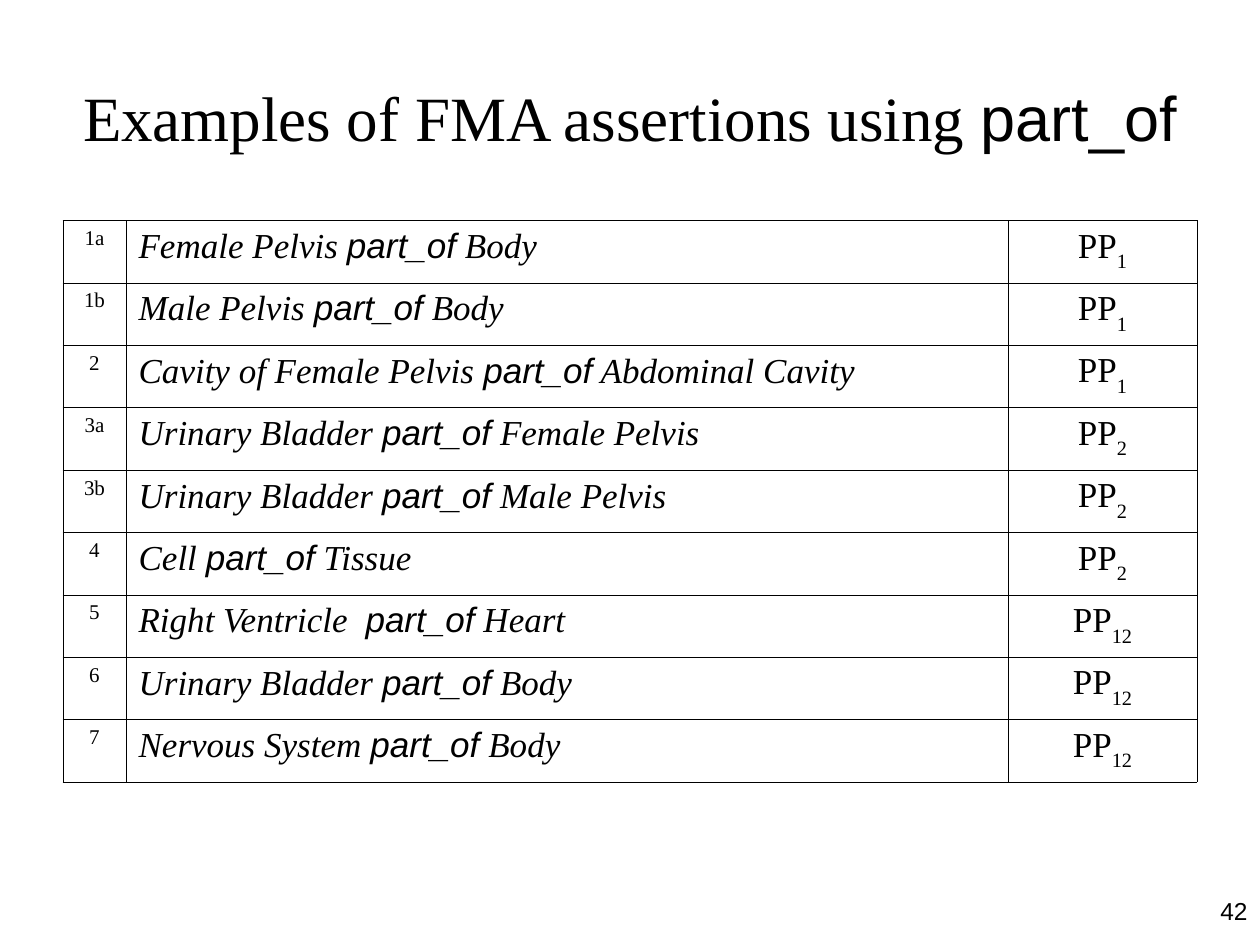
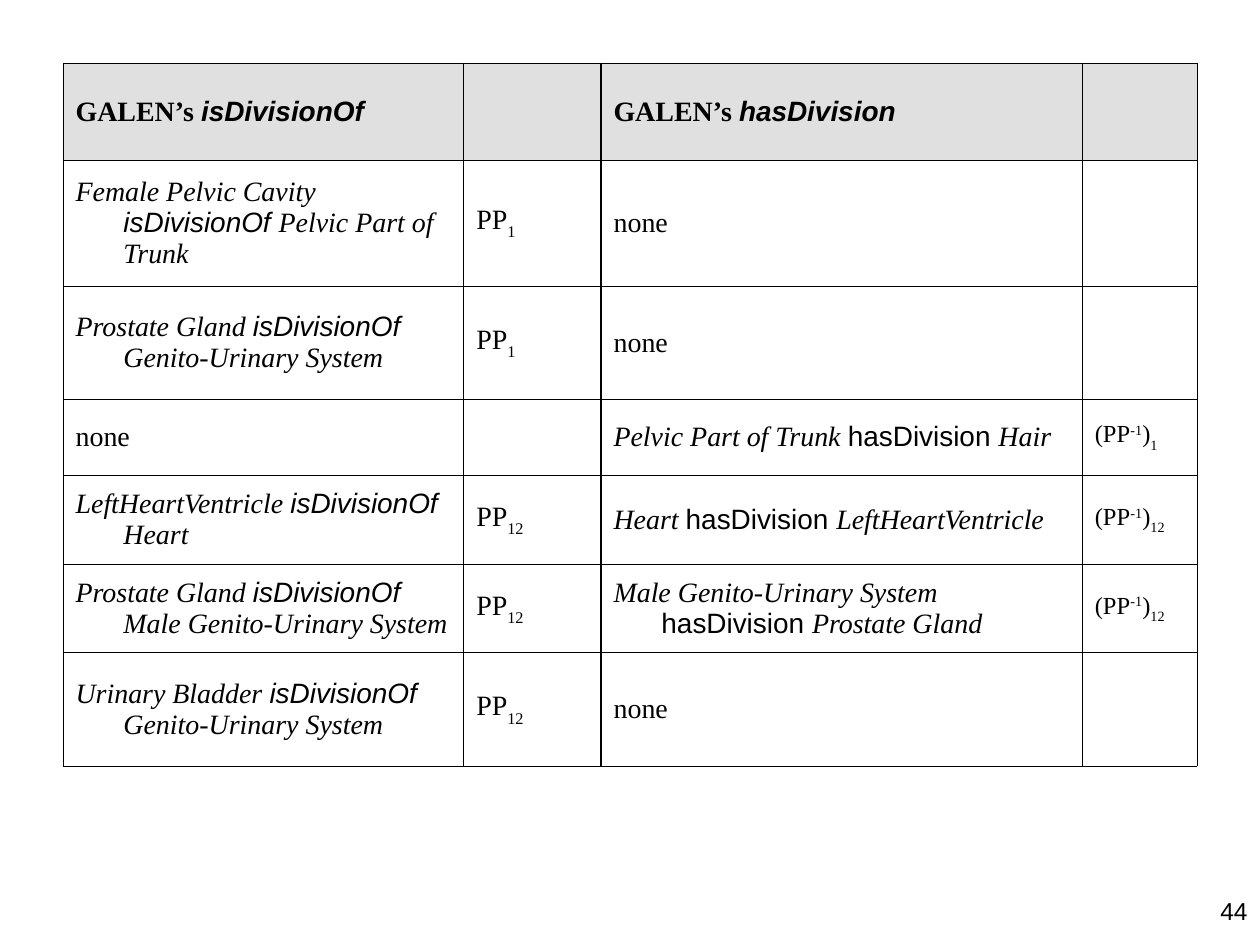
from pptx import Presentation
from pptx.dml.color import RGBColor
from pptx.enum.text import MSO_ANCHOR, PP_ALIGN
from pptx.oxml.ns import qn
from pptx.util import Inches, Pt
from lxml.etree import SubElement

# ---- Content: every text is a list of (words, style) runs ----
TITLE = [("Examples of FMA assertions using ", "roman"), ("part_of", "sans")]

# number, part, whole, parthood relation
ASSERTIONS = [
    ("1a", "Female Pelvis ", "Body", "1"),
    ("1b", "Male Pelvis ", "Body", "1"),
    ("2", "Cavity of Female Pelvis ", "Abdominal Cavity", "1"),
    ("3a", "Urinary Bladder ", "Female Pelvis", "2"),
    ("3b", "Urinary Bladder ", "Male Pelvis", "2"),
    ("4", "Cell ", "Tissue", "2"),
    ("5", "Right Ventricle  ", "Heart", "12"),
    ("6", "Urinary Bladder ", "Body", "12"),
    ("7", "Nervous System ", "Body", "12"),
]

# (part, whole, relation) and (whole, part, relation); None where there is none
DIVISIONS = [
    (("Female Pelvic Cavity", "Pelvic Part of Trunk", "1"), None),
    (("Prostate Gland", "Genito-Urinary System", "1"), None),
    (None, ("Pelvic Part of Trunk", "Hair", "1")),
    (("LeftHeartVentricle", "Heart", "12"),
     ("Heart", "LeftHeartVentricle", "12")),
    (("Prostate Gland", "Male Genito-Urinary System", "12"),
     ("Male Genito-Urinary System", "Prostate Gland", "12")),
    (("Urinary Bladder", "Genito-Urinary System", "12"), None),
]

# ---- Shared look ----
COLORS = {"ink": "000000", "header": "E0E0E0"}
SERIF, SANS = "Times New Roman", "Arial"
STYLES = {  # font, bold, italic, baseline in percent
    "roman": (SERIF, False, False, 0),
    "italic": (SERIF, False, True, 0),
    "bold": (SERIF, True, False, 0),
    "sub": (SERIF, False, False, -30),
    "super": (SERIF, False, False, 30),
    "sans": (SANS, False, False, 0),
    "sans italic": (SANS, False, True, 0),
    "sans bold": (SANS, True, True, 0),
}
WIDTH, HEIGHT, MARGIN = 10, 7.5, 0.5
HANG = 0.38
THIN, THICK = 0.45, 0.96
LEFT, CENTER, RIGHT = PP_ALIGN.LEFT, PP_ALIGN.CENTER, PP_ALIGN.RIGHT


def add_runs(p, runs, size, align=LEFT):
    p.alignment = align
    for words, style in runs:
        font, bold, italic, base = STYLES[style]
        r = p.add_run()
        r.text = words
        r.font.name, r.font.size = font, Pt(size)
        r.font.bold, r.font.italic = bold, italic
        r.font.color.rgb = RGBColor.from_string(COLORS["ink"])
        if base:
            r.font._element.set("baseline", str(base * 1000))


def add_text(slide, box, runs, size, align, anchor=MSO_ANCHOR.TOP):
    tf = slide.shapes.add_textbox(*map(Inches, box)).text_frame
    tf.word_wrap = True
    tf.vertical_anchor = anchor
    add_runs(tf.paragraphs[0], runs, size, align)


def set_border(cell, side, width):
    ln = SubElement(cell._tc.get_or_add_tcPr(), qn(f"a:ln{side}"),
                    w=str(Pt(width)))
    fill = SubElement(ln, qn("a:solidFill"))
    SubElement(fill, qn("a:srgbClr"), val=COLORS["ink"])


def add_grid(slide, top, cols, heights, rows, sizes, aligns, anchor,
             header=False, thick_after=None):
    """Draw a ruled table; thick_after is the column with a heavier right edge."""
    table = slide.shapes.add_table(
        len(rows), len(cols), Inches(MARGIN), Inches(top),
        Inches(sum(cols)), Inches(sum(heights))).table
    table.first_row = table.horz_banding = False
    for column, width in zip(table.columns, cols):
        column.width = Inches(width)
    for i, runs_in_row in enumerate(rows):
        table.rows[i].height = Inches(heights[i])
        for j, runs in enumerate(runs_in_row):
            cell = table.cell(i, j)
            cell.vertical_anchor = anchor
            for side, edge in (("L", j - 1), ("R", j), ("T", None), ("B", None)):
                heavy = edge is not None and edge == thick_after
                set_border(cell, side, THICK if heavy else THIN)
            if header and i == 0:
                cell.fill.solid()
                cell.fill.fore_color.rgb = RGBColor.from_string(COLORS["header"])
            else:
                cell.fill.background()
            p = cell.text_frame.paragraphs[0]
            add_runs(p, runs, sizes[j], aligns[j])
            pPr = p._p.get_or_add_pPr()
            pPr.set("marL", str(Inches(HANG)))
            pPr.set("indent", str(-Inches(HANG)))


def new_slide(prs, number):
    slide = prs.slides.add_slide(prs.slide_layouts[6])
    add_text(slide, (7.67, 7.06, WIDTH - 7.67, HEIGHT - 7.06),
             [(number, "sans")], 14, RIGHT)
    return slide


# ---- Cell texts ----
def parthood(index):
    return [("PP", "roman"), (index, "sub")]


def inverse(index):
    return [("(PP", "roman"), ("-1", "super"), (")", "roman"), (index, "sub")]


def assertion_row(number, part, whole, index):
    statement = [(part, "italic"), ("part_of", "sans italic"),
                 (" " + whole, "italic")]
    return [[(number, "roman")], statement, parthood(index)]


def division_cells(entry, relation, style, relation_mark):
    if entry is None:
        return [[("none", "roman")], []]
    first, second, index = entry
    statement = [(first + " ", "italic"), (relation + " ", style),
                 (second, "italic")]
    return [statement, relation_mark(index)]


def heading(relation):
    return [("GALEN’s ", "bold"), (relation, "sans bold")]


def main():
    prs = Presentation()
    prs.slide_width, prs.slide_height = Inches(WIDTH), Inches(HEIGHT)

    # Assertions with part_of
    slide = new_slide(prs, "42")
    add_text(slide, (MARGIN, 0.3, WIDTH - 2 * MARGIN, 1.25), TITLE, 36,
             CENTER, MSO_ANCHOR.MIDDLE)
    rows = [assertion_row(*a) for a in ASSERTIONS]
    add_grid(slide, 1.75, [0.5, 7, 1.5], [4.46 / len(rows)] * len(rows), rows,
             [12, 20, 20], [CENTER, LEFT, CENTER], MSO_ANCHOR.TOP)

    # Divisions in both directions
    slide = new_slide(prs, "44")
    rows = [[heading("isDivisionOf"), [], heading("hasDivision"), []]]
    for down, up in DIVISIONS:
        rows.append(division_cells(down, "isDivisionOf", "sans italic", parthood)
                    + division_cells(up, "hasDivision", "sans", inverse))
    add_grid(slide, MARGIN, [3.18, 1.09, 3.82, 0.91],
             [0.77, 1, 0.9, 0.6, 0.71, 0.7, 0.9], rows,
             [16, 16, 16, 14], [LEFT] * 4, MSO_ANCHOR.MIDDLE,
             header=True, thick_after=1)

    prs.save("out.pptx")


if __name__ == "__main__":
    main()
